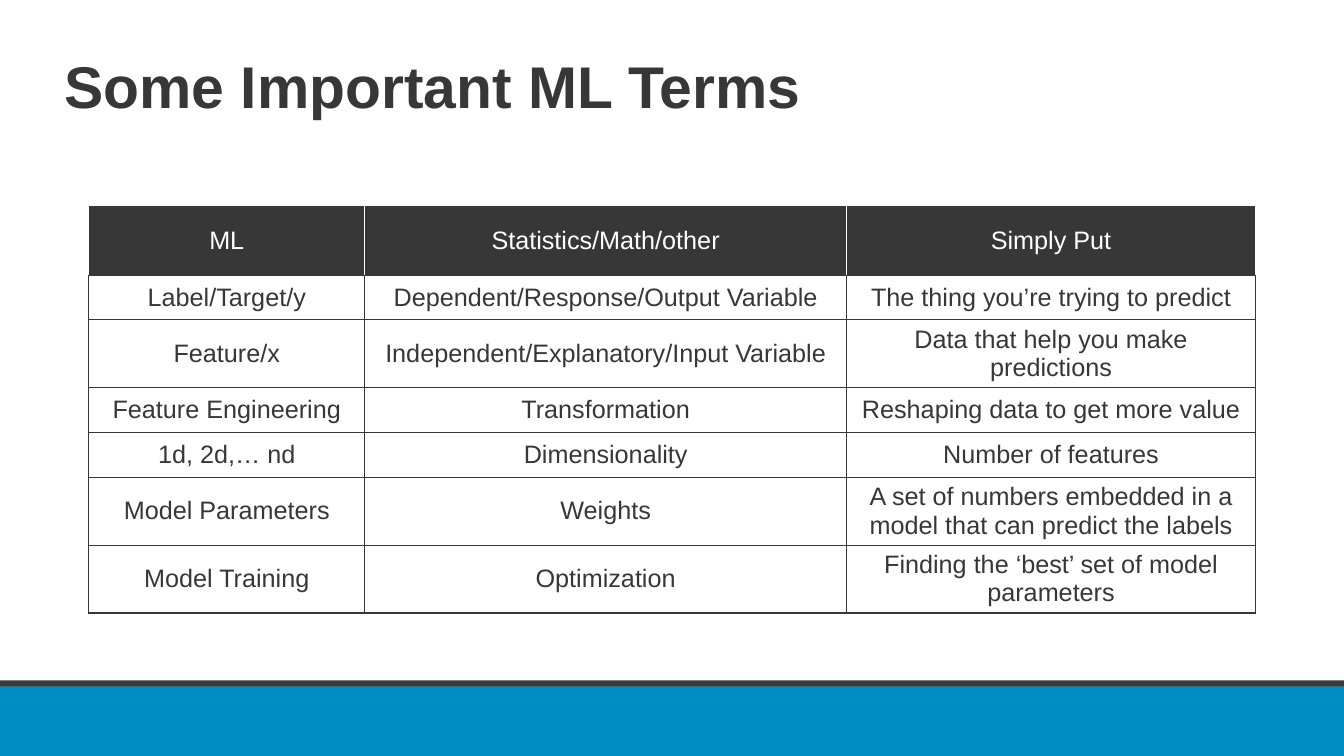
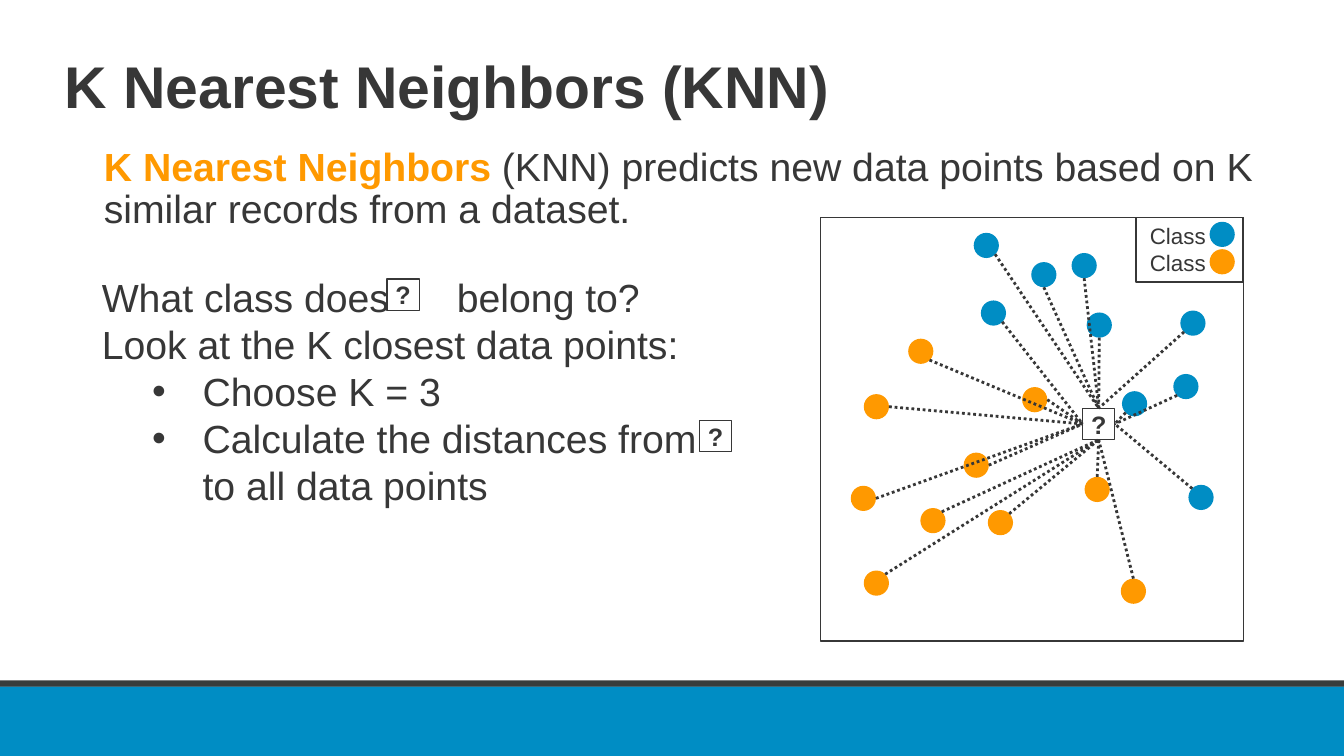
from typing import NamedTuple

import pptx
import pptx.dml.color
import pptx.enum.dml
import pptx.enum.shapes
import pptx.enum.text
import pptx.oxml
import pptx.oxml.ns
import pptx.util

Pt = pptx.util.Pt
SHAPE = pptx.enum.shapes.MSO_SHAPE
ALIGN = pptx.enum.text.PP_ALIGN
ANCHOR = pptx.enum.text.MSO_ANCHOR
NSDECL = pptx.oxml.ns.nsdecls("a")

FONT = "Arial"
COLORS = {
    "ink": "373737",
    "blue": "008DC4",
    "orange": "FF9900",
    "rule": "383D3B",
    "white": "FFFFFF",
}
LINE_SPACING = 0.9
DOT = 18
PANEL = (586, 155.5, 302.4, 302.4)
LEGEND = (811.5, 155.5, 76.5, 46)
MARK_SIZE = (23, 22.5)


class Box(NamedTuple):
    left: float
    top: float
    width: float
    height: float


class Neighbor(NamedTuple):
    left: float
    top: float
    color: str
    start: str  # point on the dot where the line starts
    side: int  # side of the question mark box where it ends


class ListLine(NamedTuple):
    text: str
    after_mark: str  # text that follows the inline question mark box
    bullet: bool = False
    wrap: bool = False  # the text after the box starts a new line


TITLE_BOX = Box(38.9, 37.4, 828, 78.5)
BANDS = [
    (Box(-1.4, 490.3, 963.4, 49.7), "blue"),
    (Box(-0.7, 486, 962, 4.5), "rule"),
]

TERMS = [
    ("ML", "Statistics/Math/other", "Simply Put"),
    ("Label/Target/y", "Dependent/Response/Output Variable",
     "The thing you’re trying to predict"),
    ("Feature/x", "Independent/Explanatory/Input Variable",
     "Data that help you make predictions"),
    ("Feature Engineering", "Transformation", "Reshaping data to get more value"),
    ("1d, 2d,… nd", "Dimensionality", "Number of features"),
    ("Model Parameters", "Weights",
     "A set of numbers embedded in a model that can predict the labels"),
    ("Model Training", "Optimization", "Finding the ‘best’ set of model parameters"),
]
COL_WIDTHS = [197, 344.3, 292]
ROW_HEIGHTS = [49.5, 32, 48.5, 32, 32, 48.5, 48.5]

# Offsets on a dot, as fractions of its diameter
DOT_POINTS = {
    "top": (0.5, 0), "right": (1, 0.5), "bottom": (0.5, 1),
    "top left": (0.15, 0.15), "top right": (0.85, 0.15),
    "bottom left": (0.15, 0.85), "bottom right": (0.85, 0.85),
}
TOP, LEFT, BOTTOM, RIGHT = range(4)
NEIGHBORS = [
    Neighbor(736.6, 187.2, "blue", "bottom", TOP),
    Neighbor(765.4, 180.7, "blue", "bottom", TOP),
    Neighbor(843.1, 221.8, "blue", "bottom left", TOP),
    Neighbor(838.1, 267.1, "blue", "bottom left", RIGHT),
    Neighbor(695.5, 166.3, "blue", "bottom right", TOP),
    Neighbor(700.6, 214.6, "blue", "bottom right", LEFT),
    Neighbor(801.4, 279.4, "blue", "bottom left", RIGHT),
    Neighbor(848.9, 346.3, "blue", "top left", RIGHT),
    Neighbor(776.2, 223.2, "blue", "bottom", TOP),
    Neighbor(705.6, 364.3, "orange", "top right", BOTTOM),
    Neighbor(774.7, 340.6, "orange", "top", BOTTOM),
    Neighbor(617, 281.5, "orange", "right", LEFT),
    Neighbor(730.1, 276.5, "orange", "right", LEFT),
    Neighbor(800.6, 413.3, "orange", "top", BOTTOM),
    Neighbor(688.3, 323.3, "orange", "right", LEFT),
    Neighbor(607.7, 347, "orange", "right", LEFT),
    Neighbor(617, 407.5, "orange", "top right", BOTTOM),
    Neighbor(657.4, 362.9, "orange", "top right", BOTTOM),
    Neighbor(648.7, 241.9, "orange", "bottom right", LEFT),
]
LIST_LINES = [
    ListLine("What class does", "belong to?"),
    ListLine("Look at the K closest data points:", ""),
    ListLine("Choose K = 3", "", bullet=True),
    ListLine("Calculate the distances from", "to all data points", bullet=True, wrap=True),
]
MARK_GAP = 40.8  # extra width of the space that holds an inline box


# Shared helpers
def rgb(color: str) -> pptx.dml.color.RGBColor:
    return pptx.dml.color.RGBColor.from_string(COLORS[color])


def add_run(p, text: str, size: float, color: str = "ink", bold: bool = False):
    r = p.add_run()
    r.text = text
    r.font.name, r.font.size, r.font.bold = FONT, Pt(size), bold
    r.font.color.rgb = rgb(color)
    return r


def add_shape(slide, kind, box, fill: str = "", line: str = ""):
    sp = slide.shapes.add_shape(kind, *map(Pt, box))
    sp.shadow.inherit = False
    if fill:
        sp.fill.solid()
        sp.fill.fore_color.rgb = rgb(fill)
    else:
        sp.fill.background()
    if line:
        sp.line.color.rgb = rgb(line)
        sp.line.width = Pt(1)
    else:
        sp.line.fill.background()
    return sp


def place(sp, box: Box):
    sp.left, sp.top, sp.width, sp.height = map(Pt, box)
    tf = sp.text_frame
    tf.word_wrap = True
    tf.auto_size = pptx.enum.text.MSO_AUTO_SIZE.NONE
    tf.vertical_anchor = ANCHOR.TOP
    return tf


def set_indent(p, margin: float, hanging: float, bullet: str = "") -> None:
    pPr = p._p.get_or_add_pPr()
    pPr.set("marL", str(Pt(margin)))
    pPr.set("indent", str(-Pt(hanging)))
    xml = f'<a:buChar {NSDECL} char="{bullet}"/>' if bullet else f"<a:buNone {NSDECL}/>"
    pPr.append(pptx.oxml.parse_xml(xml))


def add_slide(prs, layout: int, title: str):
    slide = prs.slides.add_slide(prs.slide_layouts[layout])
    p = place(slide.shapes.title, TITLE_BOX).paragraphs[0]
    p.alignment = ALIGN.LEFT
    p.line_spacing = LINE_SPACING
    add_run(p, title, 42, bold=True)
    return slide


def move_bands_to_master(prs, slide) -> None:
    tree = prs.slide_master.shapes.element
    for i, (box, fill) in enumerate(BANDS):
        sp = add_shape(slide, SHAPE.RECTANGLE, box, fill)
        sp.element.xpath(".//p:cNvPr")[0].set("id", str(100 + i))
        tree.insert(2 + i, sp.element)


# Table of terms
def set_borders(cell, sides: dict[str, str]) -> None:
    tcPr = cell._tc.get_or_add_tcPr()
    for side, color in sides.items():
        tcPr.append(pptx.oxml.parse_xml(
            f'<a:ln{side} {NSDECL} w="{Pt(1)}"><a:solidFill>'
            f'<a:srgbClr val="{COLORS[color]}"/></a:solidFill></a:ln{side}>'))


def add_terms_table(slide) -> None:
    box = Box(63.5, 147, sum(COL_WIDTHS), sum(ROW_HEIGHTS))
    table = slide.shapes.add_table(len(TERMS), len(COL_WIDTHS), *map(Pt, box)).table
    table.horz_banding = False
    for col, width in zip(table.columns, COL_WIDTHS):
        col.width = Pt(width)
    for i, (row, height) in enumerate(zip(table.rows, ROW_HEIGHTS)):
        row.height = Pt(height)
        header = i == 0
        edge = "white" if header else "ink"
        for cell, text in zip(row.cells, TERMS[i]):
            set_borders(cell, {"L": edge, "R": edge, "T": edge, "B": "ink"})
            if header:
                cell.fill.solid()
                cell.fill.fore_color.rgb = rgb("ink")
            else:
                cell.fill.background()
            cell.vertical_anchor = ANCHOR.MIDDLE
            p = cell.text_frame.paragraphs[0]
            p.alignment = ALIGN.CENTER
            add_run(p, text, 18, "white" if header else "ink")


# Text of the KNN slide
def add_intro(sp) -> None:
    p = place(sp, Box(67, 101.5, 843.8, 71.3)).paragraphs[0]
    set_indent(p, 0, 0)
    p.line_spacing = LINE_SPACING
    p.space_before = Pt(0)
    add_run(p, "K Nearest Neighbors ", 28, "orange", bold=True)
    add_run(p, "(KNN) predicts new data points based on K similar records "
               "from a dataset.", 28)


def add_list(sp) -> None:
    tf = place(sp, Box(65.5, 191.5, 480, 211))
    for i, line in enumerate(LIST_LINES):
        p = tf.add_paragraph() if i else tf.paragraphs[0]
        if line.bullet:
            p.level = 1
            set_indent(p, 72, 36, "•")
        else:
            set_indent(p, 0, 0)
        p.space_before = Pt(0)
        p.line_spacing = 1.0
        add_run(p, line.text, 28)
        if line.wrap:
            p.add_line_break()
        elif line.after_mark:
            # One widened space leaves room for the box
            r = add_run(p, " ", 28)
            r.font._rPr.set("spc", str(round(MARK_GAP * 100)))
        if line.after_mark:
            add_run(p, line.after_mark, 28)


# Diagram of the KNN slide
def add_dot(slide, left: float, top: float, color: str) -> None:
    add_shape(slide, SHAPE.OVAL, (left, top, DOT, DOT), color)


def add_question_mark(slide, left: float, top: float):
    sp = add_shape(slide, SHAPE.RECTANGLE, (left, top, *MARK_SIZE), "white", "ink")
    tf = sp.text_frame
    tf.word_wrap = False
    tf.margin_left = tf.margin_right = tf.margin_top = tf.margin_bottom = 0
    tf.vertical_anchor = ANCHOR.MIDDLE
    p = tf.paragraphs[0]
    p.alignment = ALIGN.CENTER
    add_run(p, "?", 18, bold=True)
    return sp


def add_distance_line(slide, n: Neighbor, mark) -> None:
    dx, dy = DOT_POINTS[n.start]
    x, y = Pt(n.left + dx * DOT), Pt(n.top + dy * DOT)
    line = slide.shapes.add_connector(
        pptx.enum.shapes.MSO_CONNECTOR.STRAIGHT, x, y, x, y)
    line.end_connect(mark, n.side)
    line.line.color.rgb = rgb("ink")
    line.line.width = Pt(2)
    line.line.dash_style = pptx.enum.dml.MSO_LINE.ROUND_DOT
    line.element.spPr.append(pptx.oxml.parse_xml(f"<a:effectLst {NSDECL}/>"))


def add_diagram(slide) -> None:
    for box in (PANEL, LEGEND):
        add_shape(slide, SHAPE.RECTANGLE, box, line="ink")
    for top, color in ((158.4, "blue"), (178, "orange")):
        add_dot(slide, 864, top, color)
        tb = slide.shapes.add_textbox(0, 0, 0, 0)
        p = place(tb, Box(814.3, top - 3.4, 100, 26.6)).paragraphs[0]
        add_run(p, "Class", 16)
    for n in NEIGHBORS:
        add_dot(slide, n.left, n.top, n.color)
    mark = add_question_mark(slide, 773.3, 291.6)
    for n in NEIGHBORS:
        add_distance_line(slide, n, mark)


def main() -> None:
    prs = pptx.Presentation()
    prs.slide_width, prs.slide_height = Pt(960), Pt(540)

    slide = add_slide(prs, 5, "Some Important ML Terms")
    move_bands_to_master(prs, slide)
    add_terms_table(slide)

    slide = add_slide(prs, 3, "K Nearest Neighbors (KNN)")
    add_intro(slide.placeholders[1])
    add_list(slide.placeholders[2])
    add_diagram(slide)
    for left, top in ((276.5, 199.4), (499.7, 300.2)):
        add_question_mark(slide, left, top)

    prs.save("out.pptx")


if __name__ == "__main__":
    main()
